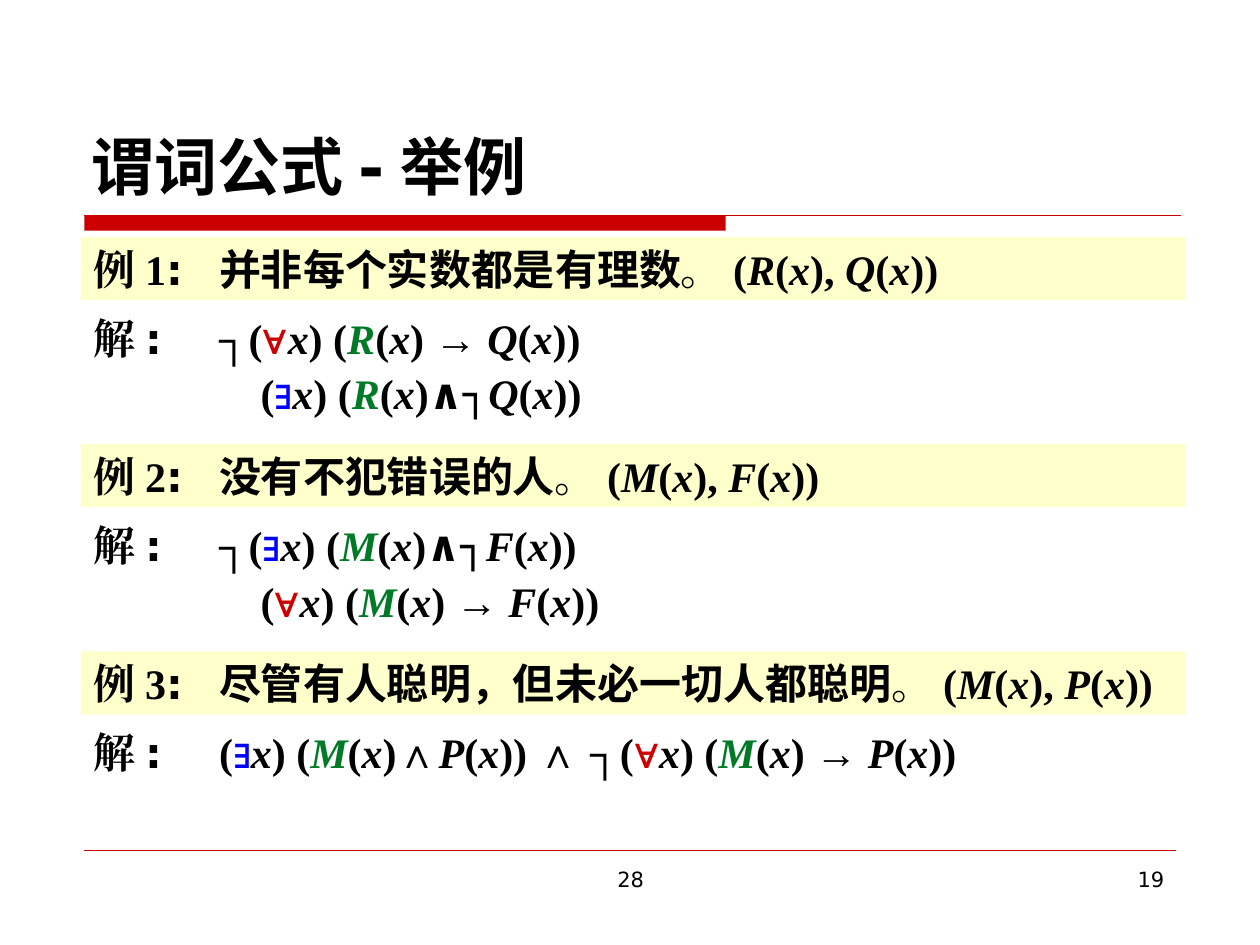
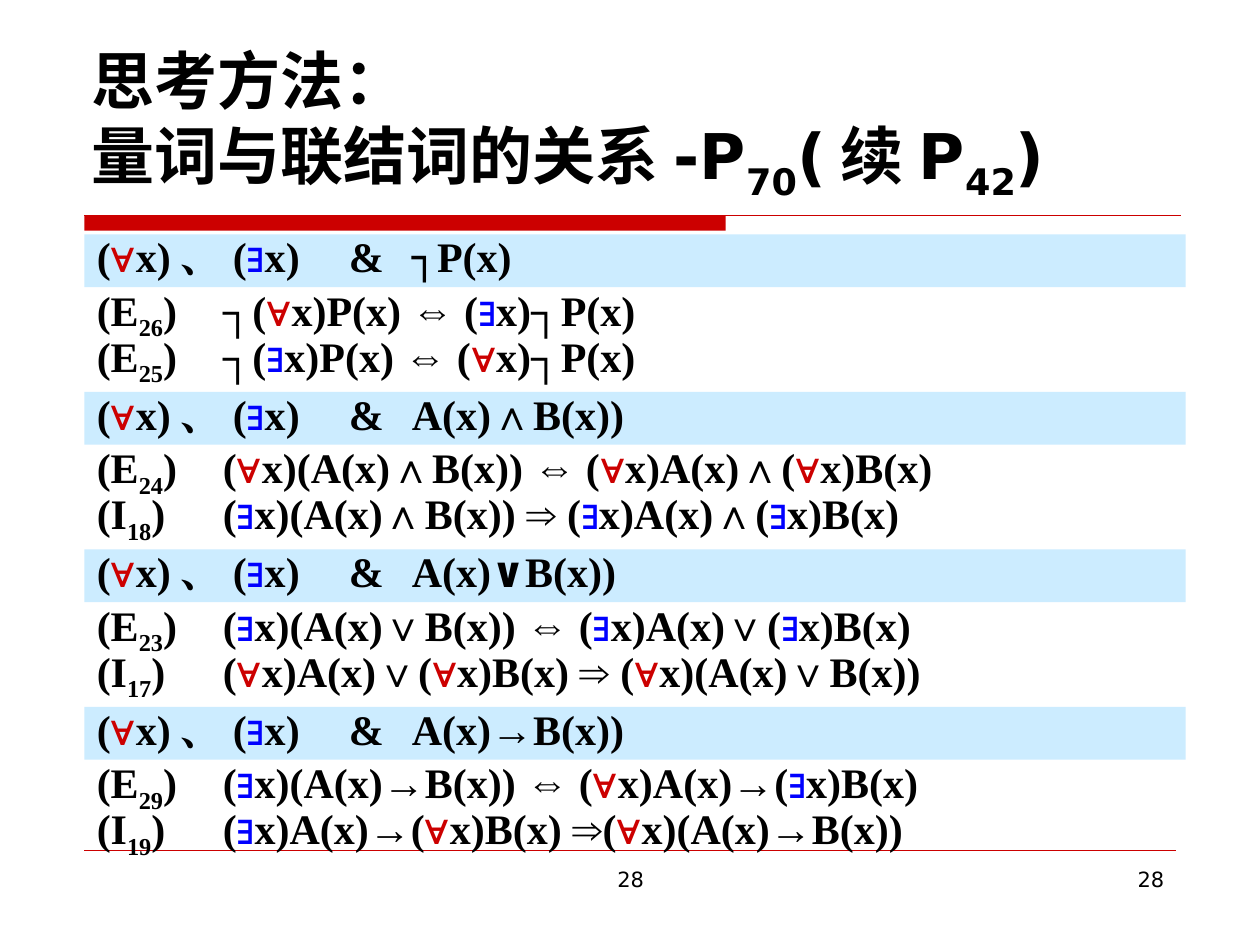
"""Build two lecture slides on predicate formulas and quantifier laws."""
from itertools import groupby

from lxml.etree import SubElement
from pptx import Presentation
from pptx.dml.color import RGBColor
from pptx.enum.shapes import MSO_CONNECTOR, MSO_SHAPE
from pptx.enum.text import MSO_ANCHOR, MSO_AUTO_SIZE, PP_ALIGN
from pptx.oxml.ns import qn
from pptx.util import Inches, Pt

COLORS = {
    "text": "000000",
    "rule": "CC0000",
    "for_all": "CC0000",
    "exists": "0000FF",
    "predicate": "007A26",
    "example_band": "FFFFCC",
    "law_band": "CCECFF",
}
SANS, SERIF, SYMBOL = "DejaVu Sans", "Times New Roman", "Arial"

presentation = Presentation()
presentation.slide_width = Inches(10)
presentation.slide_height = Inches(7.5)
COLUMN = presentation.slide_width / 100
ROW = presentation.slide_height / 75


def add_runs(paragraph, markup, size, bold, italic, green):
    """Add styled runs; ~ toggles the sans font and _ toggles subscript."""
    styled, sans, subscript = [], False, False
    for character in markup:
        if character == "~":
            sans = not sans
        elif character == "_":
            subscript = not subscript
        else:
            letter = character.isascii() and character.isalpha()
            font = SYMBOL if character in "∀∃→⇔⇒" else SANS if sans else SERIF
            color = {"∀": "for_all", "∃": "exists"}.get(character, "text")
            if character in green:
                color = "predicate"
            styled.append(((font, color, italic and letter, subscript, character == "\n"), character))
    for (font, color, slanted, lowered, line_break), group in groupby(styled, lambda item: item[0]):
        if line_break:
            paragraph.add_line_break()
            continue
        run = paragraph.add_run()
        run.text = "".join(character for _, character in group)
        run.font.size, run.font.bold, run.font.italic = Pt(size), bold, slanted
        run.font.color.rgb = RGBColor.from_string(COLORS[color])
        run.font.name = font
        properties = run._r.get_or_add_rPr()
        for tag in ("a:ea", "a:cs"):
            SubElement(properties, qn(tag)).set("typeface", font)
        if lowered:
            properties.set("baseline", "-25000")


def add_box(slide, cells, lines, size=24, bold=True, fill=None, italic=False, green="",
            align=PP_ALIGN.LEFT, anchor=MSO_ANCHOR.TOP, grow=True, spacing=None, before=0, indent=0):
    """Add a text box, or a filled band, at left, top, width, height in grid cells."""
    left, top, width, height = cells
    place = [round(left * COLUMN), round(top * ROW), round(width * COLUMN), round(height * ROW)]
    if fill:
        shape = slide.shapes.add_shape(MSO_SHAPE.RECTANGLE, *place)
        shape.shadow.inherit = False
        shape.fill.solid()
        shape.fill.fore_color.rgb = RGBColor.from_string(COLORS[fill])
        shape.line.fill.background()
    else:
        shape = slide.shapes.add_textbox(*place)
    frame = shape.text_frame
    frame.word_wrap = True
    frame.auto_size = MSO_AUTO_SIZE.SHAPE_TO_FIT_TEXT if grow else MSO_AUTO_SIZE.NONE
    frame.vertical_anchor = anchor
    for number, line in enumerate(lines):
        paragraph = frame.add_paragraph() if number else frame.paragraphs[0]
        paragraph.alignment = align
        paragraph.line_spacing = spacing
        paragraph.space_before = Pt(before)
        if indent:
            paragraph._p.get_or_add_pPr().set("marL", str(round(indent * COLUMN)))
        add_runs(paragraph, line, size, bold, italic, green)


titles = ["~谓词公式-举例~", "~思考方法：\n量词与联结词的关系-P_70_(续P_42_)~"]
page_numbers = ["19", "28"]
slides = []
for title, page_number in zip(titles, page_numbers):
    slide = presentation.slides.add_slide(presentation.slide_layouts[6])
    slides.append(slide)
    add_box(slide, (6.7, 17.1, 50.9, 1.2), [], fill="rule", grow=False)
    for right, row, weight in [(93.7, 17.1, 0.75), (93.3, 67.5, 0.25)]:
        rule = slide.shapes.add_connector(
            MSO_CONNECTOR.STRAIGHT, round(6.7 * COLUMN), round(row * ROW),
            round(right * COLUMN), round(row * ROW))
        rule.line.color.rgb = RGBColor.from_string(COLORS["rule"])
        rule.line.width = Pt(weight)
        SubElement(rule._element.spPr, qn("a:effectLst"))
    footers = [(34.2, 31.7, "28", PP_ALIGN.CENTER), (71.7, 21.7, page_number, PP_ALIGN.RIGHT)]
    for left, width, number, align in footers:
        add_box(slide, (left, 68.3, width, 5.2), [f"~{number}~"], size=12, bold=False,
                align=align, grow=False)
    add_box(slide, (6.3, 3.3, 87.5, 13.3), [title], size=36, anchor=MSO_ANCHOR.BOTTOM, grow=False)

example_slide, law_slide = slides

examples = [
    ("例1~:\t并非每个实数都是有理数~。(R(x), Q(x))",
     "解~: \t~┐(∀x) (R(x) → Q(x))", "(∃x) (R(x)~∧┐~Q(x))"),
    ("例2~:\t没有不犯错误的人~。(M(x), F(x))",
     "解~: \t~┐(∃x) (M(x)~∧┐~F(x))", "(∀x) (M(x) → F(x))"),
    ("例3~:\t尽管有人聪明，但未必一切人都聪明~。(M(x), P(x))",
     "解~: \t~(∃x) (M(x)∧P(x)) ∧ ┐(∀x) (M(x) → P(x))", None),
]
for index, (statement, solution, equivalent) in enumerate(examples):
    top = 18.8 + 16.45 * index
    add_box(example_slide, (6.4, top, 87.7, 5), [statement], fill="example_band",
            italic=True, before=6)
    add_box(example_slide, (6.4, top + 5.5, 87.7, 5), [solution], italic=True, green="RM", before=6)
    if equivalent:
        add_box(example_slide, (6.4, top + 9.9, 87.7, 5), [equivalent], italic=True, green="RM",
                before=6, indent=13.3)

laws = [
    ("~┐~P(x)",
     ["(E_26_) \t┐(∀x)P(x) ⇔ (∃x)┐P(x)", "(E_25_) \t┐(∃x)P(x) ⇔ (∀x)┐P(x)"]),
    ("A(x)∧B(x))",
     ["(E_24_)\t(∀x)(A(x)∧B(x)) ⇔ (∀x)A(x)∧(∀x)B(x)",
      "(I_18_)\t(∃x)(A(x)∧B(x)) ⇒ (∃x)A(x)∧(∃x)B(x)"]),
    ("A(x)~∨~B(x))",
     ["(E_23_)\t(∃x)(A(x)∨B(x)) ⇔ (∃x)A(x)∨(∃x)B(x)",
      "(I_17_)\t(∀x)A(x)∨(∀x)B(x) ⇒ (∀x)(A(x)∨B(x))"]),
    ("A(x)→B(x))",
     ["(E_29_)\t(∃x)(A(x)→B(x)) ⇔ (∀x)A(x)→(∃x)B(x)",
      "(I_19_) \t(∃x)A(x)→(∀x)B(x) ⇒(∀x)(A(x)→B(x))"]),
]
for index, (formula, equations) in enumerate(laws):
    top = 18.6 + 12.5 * index
    add_box(law_slide, (6.7, top, 87.4, 4.2), [f"(∀x)、(∃x)\t&\t{formula}"], fill="law_band",
            spacing=0.8)
    add_box(law_slide, (6.7, top + 3.9, 86.6, 8.3), equations, spacing=0.8)

presentation.save("out.pptx")
